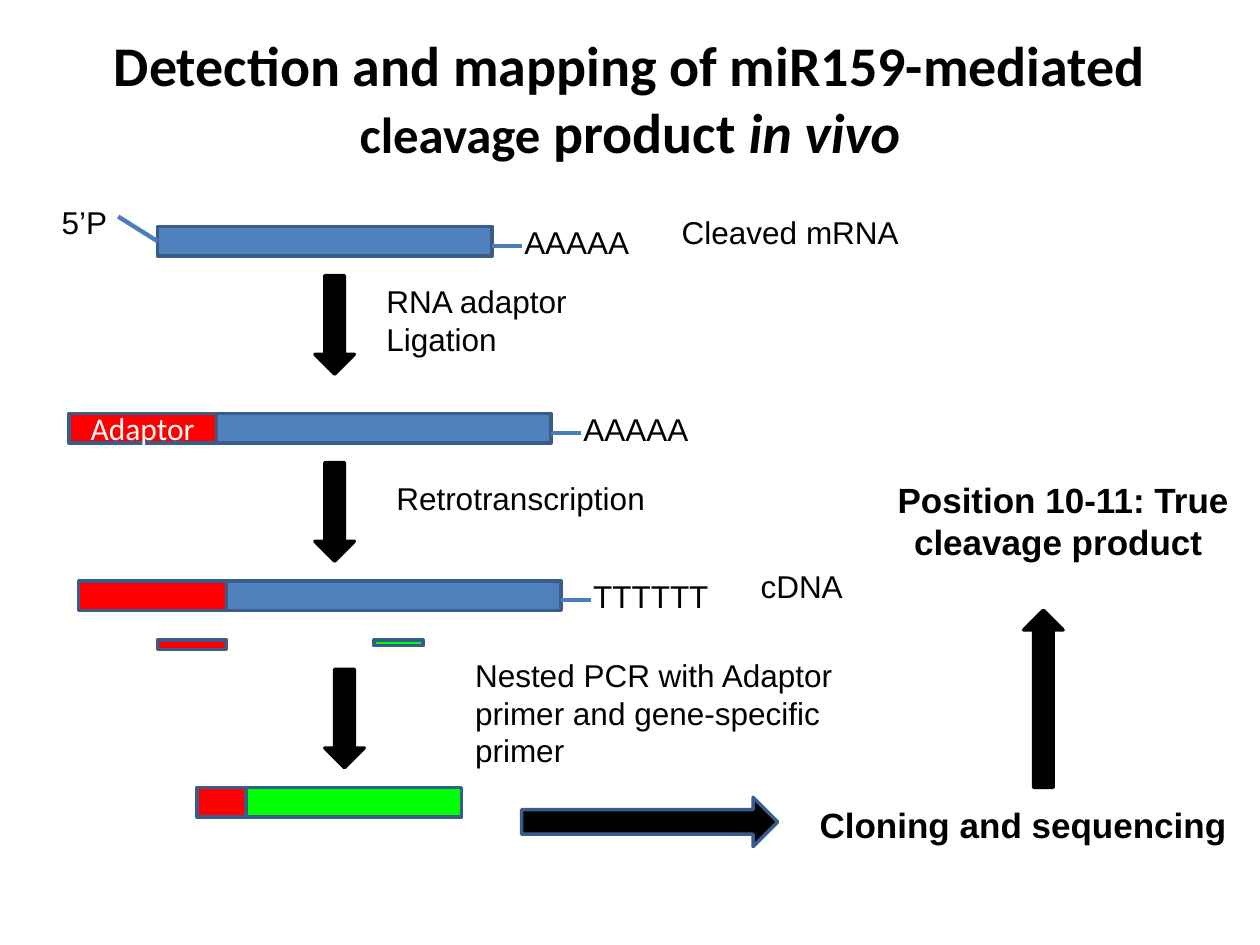
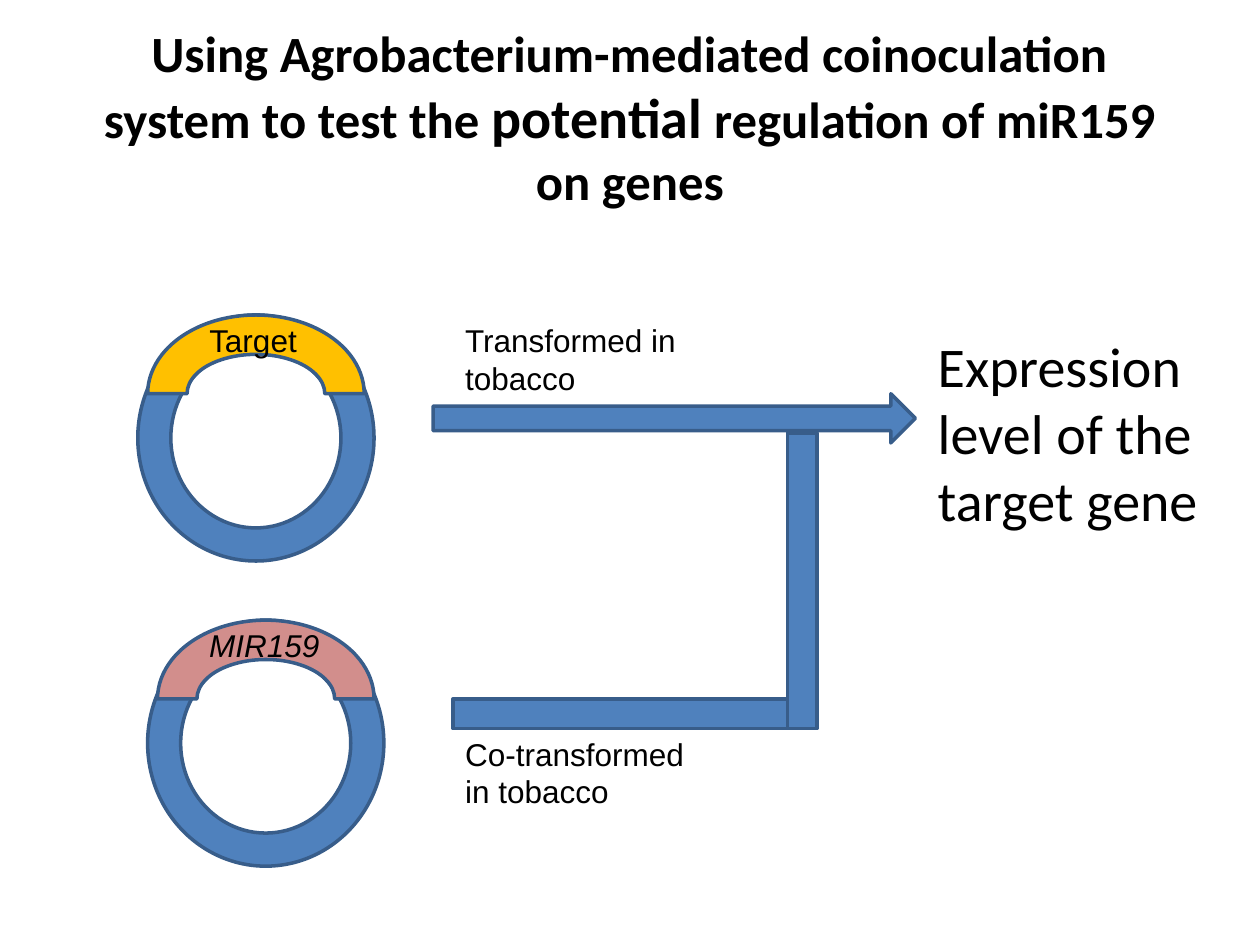
"""Build two slides on mapping and testing miR159 regulation of target genes."""
from lxml import etree
from pptx import Presentation
from pptx.dml.color import RGBColor
from pptx.enum.shapes import MSO_CONNECTOR, MSO_SHAPE
from pptx.enum.text import MSO_ANCHOR, MSO_AUTO_SIZE, PP_ALIGN
from pptx.oxml.ns import qn
from pptx.util import Emu, Pt

RECT = MSO_SHAPE.RECTANGLE
DOWN, UP, RIGHT = MSO_SHAPE.DOWN_ARROW, MSO_SHAPE.UP_ARROW, MSO_SHAPE.RIGHT_ARROW
RING, ARC = MSO_SHAPE.DONUT, MSO_SHAPE.BLOCK_ARC
STRAIGHT = MSO_CONNECTOR.STRAIGHT
LEFT, CENTER = PP_ALIGN.LEFT, PP_ALIGN.CENTER
MIDDLE = MSO_ANCHOR.MIDDLE
NO_FIT = MSO_AUTO_SIZE.NONE

PX = 914400 // 128
TITLE_ONLY = 5
HEADING_FONT, LABEL_FONT = "Calibri", "Arial"
BLUE, EDGE, STRAND_LINE = "4F81BD", "385D8A", "4A7EBB"
RED, GREEN, ORANGE, PINK = "FF0000", "00FF00", "FFC000", "D28E8C"
BLACK, WHITE = "000000", "FFFFFF"
BAR_HEIGHT = 30


def rgb(value):
    return RGBColor.from_string(value)


def px(*values):
    return [Emu(value * PX) for value in values]


class Deck:
    def __init__(self):
        self.prs = Presentation()
        self.prs.slide_width, self.prs.slide_height = px(1280, 960)
        self.slide = None

    def add_text(self, paragraph, text, size, font=LABEL_FONT, color=BLACK, bold=False, italic=False):
        run = paragraph.add_run()
        run.text = text
        run.font.name = font
        run.font.size = Pt(size)
        run.font.bold = bold
        run.font.italic = italic
        run.font.color.rgb = rgb(color)

    def new_slide(self, title_height, pieces):
        self.slide = self.prs.slides.add_slide(self.prs.slide_layouts[TITLE_ONLY])
        title = self.slide.shapes.title
        title.left, title.top, title.width, title.height = px(64, 38, 1152, title_height)
        frame = title.text_frame
        frame.word_wrap = True
        frame.auto_size = NO_FIT
        frame.vertical_anchor = MIDDLE
        heading = frame.paragraphs[0]
        heading.alignment = CENTER
        for text, size, italic in pieces:
            self.add_text(heading, text, size, HEADING_FONT, bold=True, italic=italic)

    def shape(self, kind, box, fill, edge=EDGE, adjust=()):
        shape = self.slide.shapes.add_shape(kind, *px(*box))
        shape.shadow.inherit = False
        shape.fill.solid()
        shape.fill.fore_color.rgb = rgb(fill)
        shape.line.color.rgb = rgb(edge)
        shape.line.width = Pt(2)
        for index, value in enumerate(adjust):
            shape.adjustments[index] = value
        return shape

    def bar(self, left, top, width, fill, height=BAR_HEIGHT):
        return self.shape(RECT, (left, top, width, height), fill)

    def line(self, start, end, width=2.25):
        line = self.slide.shapes.add_connector(STRAIGHT, *px(*start, *end))
        line.line.color.rgb = rgb(STRAND_LINE)
        line.line.width = Pt(width)
        etree.SubElement(line._element.spPr, qn("a:effectLst"))
        return line

    def label(self, box, text, size=18, align=LEFT, **style):
        frame = self.slide.shapes.add_textbox(*px(*box)).text_frame
        frame.word_wrap = True
        paragraph = frame.paragraphs[0]
        paragraph.alignment = align
        self.add_text(paragraph, text, size, **style)

    def strand(self, left, top, tail):
        body = self.bar(left, top, 340, BLUE)
        end = left + 340
        self.line((end, top + 20), (end + 30, top + 20))
        self.label((end + 20, top - 10, 150, 51), tail)
        return body

    def adaptor(self, left, top, text=None):
        adaptor = self.bar(left, top, 150, RED)
        if text:
            adaptor.text_frame.vertical_anchor = MIDDLE
            paragraph = adaptor.text_frame.paragraphs[0]
            paragraph.alignment = CENTER
            self.add_text(paragraph, text, 18, HEADING_FONT, WHITE)

    def plasmid(self, left, top, insert_fill):
        self.shape(RING, (left, top, 240, 250), BLUE, adjust=(0.14,))
        self.shape(ARC, (left + 10, top, 220, 160), insert_fill, adjust=(108, 0, 0.25))


def cleavage_mapping(deck):
    deck.new_slide(122, [
        ("Detection and mapping of miR159-mediated ", 32, False),
        ("cleavage", 29, False),
        (" product ", 32, False),
        ("in vivo", 32, True),
    ])
    cleaved = deck.strand(160, 230, "AAAAA")
    five_prime = deck.line((160, 245), (120, 220), 2.5)
    five_prime.begin_connect(cleaved, 1)
    deck.strand(220, 420, "AAAAA")
    deck.adaptor(70, 420, "Adaptor")
    deck.strand(230, 590, "TTTTTT")
    deck.adaptor(80, 590)

    for left, top in ((320, 280), (320, 470), (330, 680)):
        deck.shape(DOWN, (left, top, 40, 100), BLACK, BLACK)
    for box, text in (
        ((50, 200, 80, 51), "5’P"),
        ((680, 210, 290, 51), "Cleaved mRNA"),
        ((380, 280, 230, 90), "RNA adaptor Ligation"),
        ((390, 480, 310, 51), "Retrotranscription"),
        ((760, 570, 170, 51), "cDNA"),
        ((470, 660, 390, 128), "Nested PCR with Adaptor primer and gene-specific primer"),
    ):
        deck.label(box, text)

    deck.bar(160, 650, 70, RED, 10)
    deck.bar(380, 650, 50, GREEN, 6)
    deck.bar(200, 800, 50, RED)
    deck.bar(250, 800, 219, GREEN)

    deck.shape(RIGHT, (530, 810, 260, 50), BLACK)
    deck.label((820, 810, 460, 56), "Cloning and sequencing", 20, bold=True)
    deck.shape(UP, (1040, 620, 40, 180), BLACK, BLACK)
    deck.label((880, 480, 400, 98), "Position 10-11: True cleavage product ", 20, CENTER, bold=True)


def coinoculation(deck):
    deck.new_slide(160, [
        ("Using Agrobacterium-mediated coinoculation system to test the ", 29, False),
        ("potential", 32, False),
        (" regulation of miR159 on genes", 29, False),
    ])
    deck.plasmid(140, 320, ORANGE)
    deck.label((200, 320, 130, 51), "Target")
    deck.plasmid(150, 630, PINK)
    deck.label((200, 630, 150, 51), "MIR159", italic=True)

    deck.shape(RIGHT, (440, 400, 490, 50), BLUE)
    deck.label((460, 320, 240, 90), "Transformed in tobacco")
    deck.label((460, 740, 280, 90), "Co-transformed in tobacco")
    deck.bar(460, 710, 360, BLUE)
    deck.bar(800, 440, 30, BLUE, 300)
    deck.label((940, 330, 310, 218), "Expression level of the target gene", 32, font=HEADING_FONT)


def main():
    deck = Deck()
    cleavage_mapping(deck)
    coinoculation(deck)
    deck.prs.save("out.pptx")


if __name__ == "__main__":
    main()
